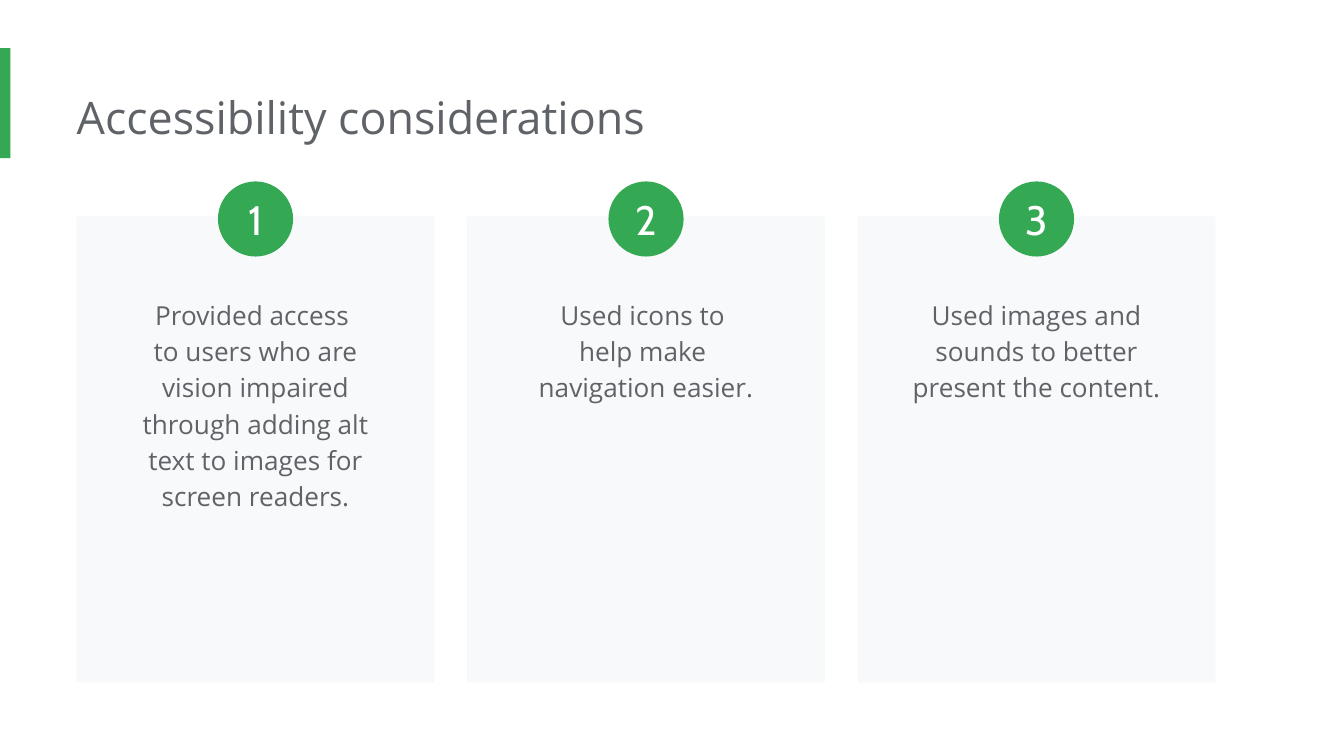
from pptx import Presentation
from pptx.dml.color import RGBColor
from pptx.enum.shapes import MSO_SHAPE
from pptx.enum.text import MSO_ANCHOR, MSO_AUTO_SIZE, PP_ALIGN
from pptx.util import Cm, Pt

COLORS = {"green": "34A853", "text": "5F6368", "card": "F8F9FA", "white": "FFFFFF"}

CARD_TEXTS = [
    "Provided access \nto users who are vision impaired through adding alt text to images for screen readers.",
    "Used icons to \nhelp make \nnavigation easier.",
    "Used images and sounds to better present the content.",
]

# Card grid, in centimetres
CARD_LEFT, CARD_TOP, CARD_WIDTH, CARD_HEIGHT = 1.45, 4.09, 6.76, 8.81
CARD_STEP = 7.38
TEXT_TOP, TEXT_WIDTH = 5.33, 5.69
BADGE_TOP, BADGE_SIZE = 3.43, 1.42


def write_text(frame, text, size=14, font="Open Sans", color="text",
               align=PP_ALIGN.CENTER, anchor=MSO_ANCHOR.TOP,
               spacing=None, margins=(0.25, 0.25, 0.25, 0.25)):
    """Fill a text frame with one formatted paragraph; newlines become line breaks."""
    frame.word_wrap = True
    frame.vertical_anchor = anchor
    (frame.margin_left, frame.margin_top,
     frame.margin_right, frame.margin_bottom) = [Cm(margin) for margin in margins]
    para = frame.paragraphs[0]
    para.alignment = align
    if spacing:
        para.line_spacing = spacing
    for index, line in enumerate(text.split("\n")):
        if index:
            para.add_line_break()
        span = para.add_run()
        span.text = line
        span.font.size = Pt(size)
        span.font.name = font
        span.font.color.rgb = RGBColor.from_string(COLORS[color])


class SlideBuilder:
    def __init__(self, slide):
        self.slide = slide

    def title(self, text, left, top, width, height):
        box = self.slide.shapes.title
        box.left, box.top, box.width, box.height = map(Cm, (left, top, width, height))
        write_text(box.text_frame, text, size=24, align=PP_ALIGN.LEFT,
                   margins=(0, 0.25, 0.25, 0.25))
        box.text_frame.auto_size = MSO_AUTO_SIZE.SHAPE_TO_FIT_TEXT

    def shape(self, kind, left, top, width, height, color):
        shape = self.slide.shapes.add_shape(kind, *map(Cm, (left, top, width, height)))
        shape.shadow.inherit = False
        shape.fill.solid()
        shape.fill.fore_color.rgb = RGBColor.from_string(COLORS[color])
        shape.line.fill.background()
        return shape

    def card(self, left, text):
        self.shape(MSO_SHAPE.RECTANGLE, left, CARD_TOP, CARD_WIDTH, CARD_HEIGHT, "card")
        text_left = left + (CARD_WIDTH - TEXT_WIDTH) / 2
        height = 4.55 if len(text) > 60 else 2.49
        box = self.slide.shapes.add_textbox(
            *map(Cm, (text_left, TEXT_TOP, TEXT_WIDTH, height)))
        write_text(box.text_frame, text, spacing=1.15)
        box.text_frame.auto_size = MSO_AUTO_SIZE.SHAPE_TO_FIT_TEXT

    def badge(self, card_left, number):
        left = card_left + (CARD_WIDTH - BADGE_SIZE) / 2
        badge = self.shape(MSO_SHAPE.OVAL, left, BADGE_TOP, BADGE_SIZE, BADGE_SIZE, "green")
        write_text(badge.text_frame, str(number), size=22, font="Cabin", color="white",
                   anchor=MSO_ANCHOR.MIDDLE, margins=(0, 0, 0, 0))


def main():
    deck = Presentation()
    deck.slide_width, deck.slide_height = Cm(25.4), Cm(14.29)
    page = SlideBuilder(deck.slides.add_slide(deck.slide_layouts[5]))

    # Heading with its accent bar
    page.shape(MSO_SHAPE.RECTANGLE, 0, 0.91, 0.2, 2.08, "green")
    page.title("Accessibility considerations", 1.45, 1.45, 19.46, 1.55)

    # Cards, then the numbered badges on top of them
    lefts = [CARD_LEFT + index * CARD_STEP for index in range(len(CARD_TEXTS))]
    for left, text in zip(lefts, CARD_TEXTS):
        page.card(left, text)
    for number, left in enumerate(lefts, start=1):
        page.badge(left, number)

    deck.save("out.pptx")


if __name__ == "__main__":
    main()
